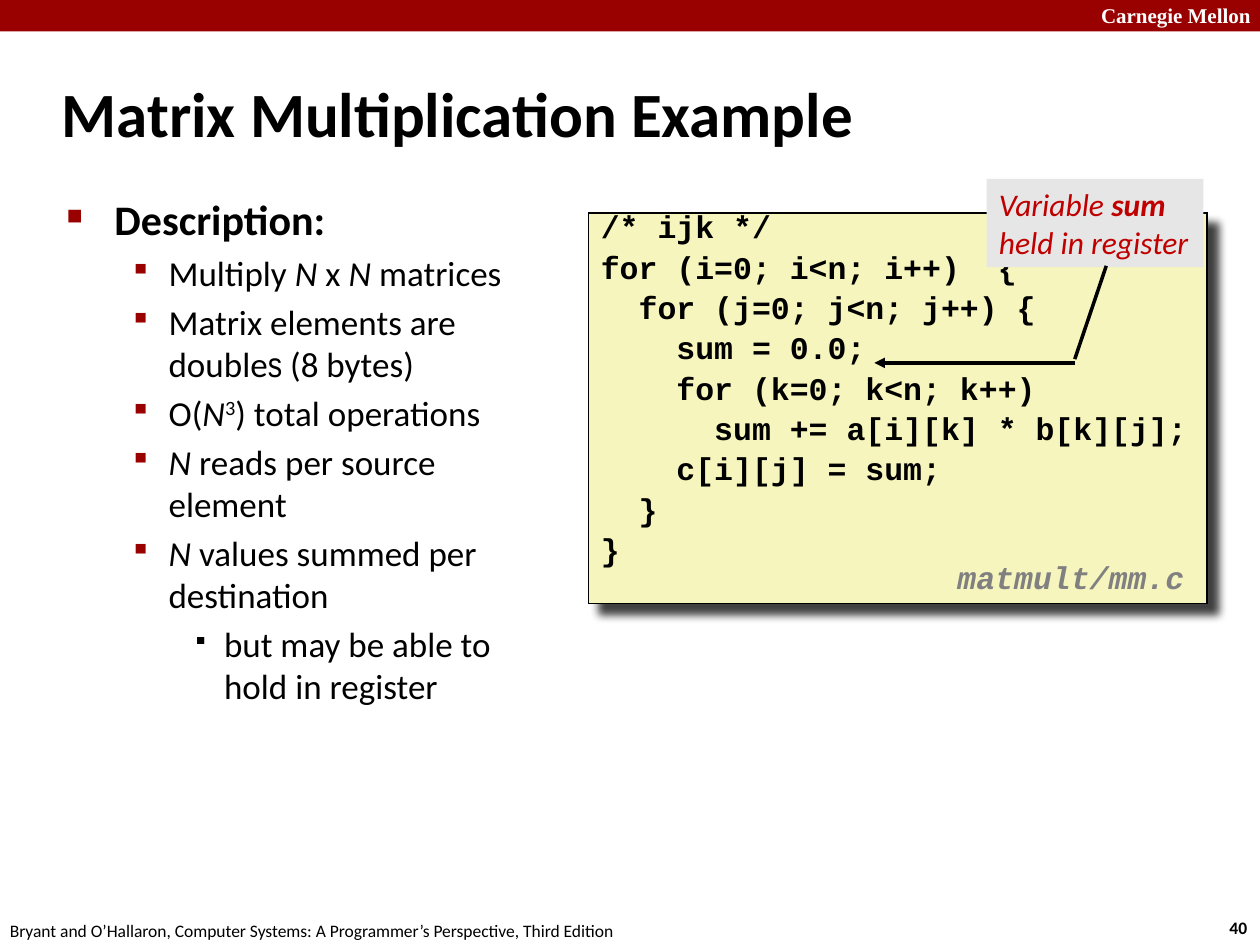
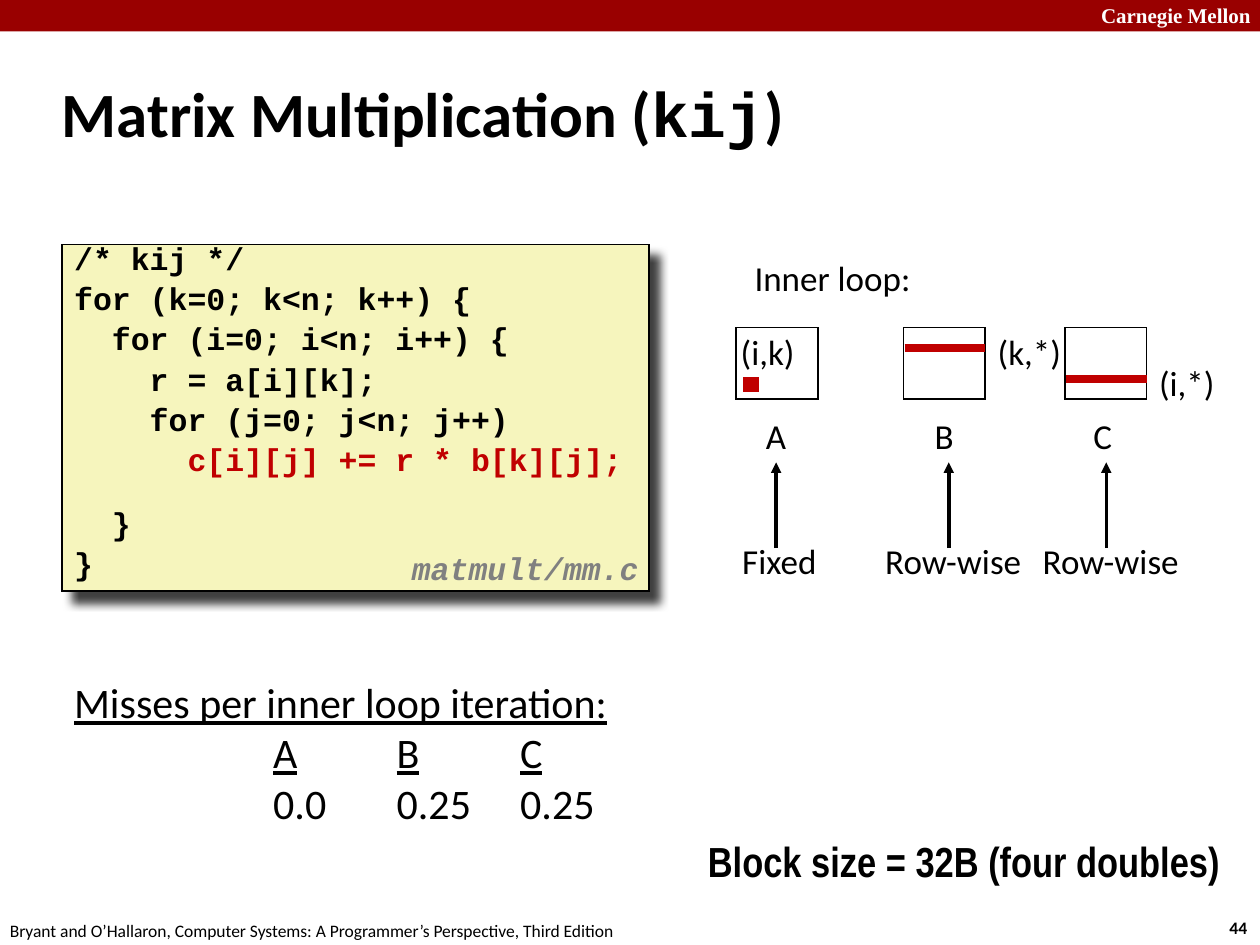
from lxml import etree
from pptx import Presentation
from pptx.dml.color import RGBColor
from pptx.enum.shapes import MSO_CONNECTOR, MSO_SHAPE
from pptx.enum.text import MSO_ANCHOR, MSO_AUTO_SIZE, PP_ALIGN
from pptx.oxml.ns import qn
from pptx.util import Inches, Pt

RECT = MSO_SHAPE.RECTANGLE
STRAIGHT = MSO_CONNECTOR.STRAIGHT
TOP, MIDDLE = MSO_ANCHOR.TOP, MSO_ANCHOR.MIDDLE
LEFT, CENTER = PP_ALIGN.LEFT, PP_ALIGN.CENTER

COLORS = {
    "black": "000000", "white": "FFFFFF", "band": "990000", "accent": "C00000",
    "dot": "FF0000", "code": "F6F5BD", "callout": "E6E6E6", "file": "808080",
}
SANS, MONO, NARROW, SERIF = "Calibri", "Courier New", "Arial Narrow", "Times New Roman"
FOOTER = ("Bryant and O’Hallaron, Computer Systems: "
          "A Programmer’s Perspective, Third Edition")

# Outline levels: margin, hanging indent, bullet, bullet size, bullet colour, format
LEVELS = [
    (0.38, 0.38, "■", 52, "band", {"size": 24, "bold": True}),
    (0.81, 0.31, "▪", 85, "band", {"size": 20}),
    (1.25, 0.25, "▪", 62, "black", {"size": 20}),
]


def color(name):
    return RGBColor.from_string(COLORS[name])


def child(parent, tag, **attributes):
    element = etree.SubElement(parent, qn(tag))
    for key, value in attributes.items():
        element.set(key, str(value))
    return element


def write(paragraph, text, size=20, font=SANS, ink="black", bold=False,
          italic=False, underline=False, raised=False):
    """Add one run of text."""
    run = paragraph.add_run()
    run.text = text
    style = run.font
    style.size, style.name = Pt(size), font
    style.bold, style.italic, style.underline = bold, italic, underline
    style.color.rgb = color(ink)
    if raised:
        style._element.set("baseline", "30000")


def write_pieces(paragraph, pieces, **base):
    """Write a string, or a list of strings and (string, format) pairs."""
    for piece in [pieces] if isinstance(pieces, str) else pieces:
        text, extra = (piece, {}) if isinstance(piece, str) else piece
        write(paragraph, text, **{**base, **extra})


class Deck:
    def __init__(self):
        self.presentation = Presentation()
        self.presentation.slide_width = Inches(10)
        self.presentation.slide_height = Inches(7.5)
        self.slide = None

    def new_slide(self, title, number):
        layout = self.presentation.slide_layouts[5]
        self.slide = self.presentation.slides.add_slide(layout)
        # Band and footer
        self.box(0, 0, 10, 0.25, "band")
        self.text(8.64, -0.03, 1.43, 0.3, ["Carnegie Mellon"],
                  size=12, font=SERIF, ink="white", bold=True)
        self.text(9.66, 7.23, 0.37, 0.27, [number], size=10, bold=True)
        self.text(-0.02, 7.25, 5.08, 0.27, [FOOTER], size=10)
        # Title
        heading = self.slide.shapes.title
        heading.left, heading.top = Inches(0.39), Inches(0.48)
        heading.width, heading.height = Inches(8.3), Inches(0.83)
        frame = heading.text_frame
        frame.auto_size = MSO_AUTO_SIZE.NONE
        frame.vertical_anchor = MIDDLE
        frame.paragraphs[0].alignment = LEFT
        write_pieces(frame.paragraphs[0], title, size=36, bold=True)

    def box(self, left, top, width, height, fill, line=None, weight=1):
        shape = self.slide.shapes.add_shape(
            RECT, Inches(left), Inches(top), Inches(width), Inches(height))
        shape.shadow.inherit = False
        shape.fill.solid()
        shape.fill.fore_color.rgb = color(fill)
        if line:
            shape.line.color.rgb = color(line)
            shape.line.width = Pt(weight)
            child(shape.line._get_or_add_ln(), "a:miter", lim=800000)
        else:
            shape.line.fill.background()
        return shape

    def fill_frame(self, shape, paragraphs, align=LEFT, wrap=False, **style):
        frame = shape.text_frame
        frame.word_wrap = wrap
        frame.vertical_anchor = TOP
        for index, pieces in enumerate(paragraphs):
            paragraph = frame.add_paragraph() if index else frame.paragraphs[0]
            paragraph.alignment = align
            write_pieces(paragraph, pieces, **style)
        return frame

    def text(self, left, top, width, height, paragraphs, **style):
        area = self.slide.shapes.add_textbox(
            Inches(left), Inches(top), Inches(width), Inches(height))
        return self.fill_frame(area, paragraphs, **style)

    def outline(self, left, top, width, height, items):
        frame = self.text(left, top, width, height, [], wrap=True)
        for index, (level, pieces) in enumerate(items):
            margin, hang, bullet, percent, ink, style = LEVELS[level]
            paragraph = frame.add_paragraph() if index else frame.paragraphs[0]
            paragraph.level = level
            props = paragraph._p.get_or_add_pPr()
            props.set("marL", str(Inches(margin)))
            props.set("indent", str(-Inches(hang)))
            child(child(props, "a:buClr"), "a:srgbClr", val=COLORS[ink])
            child(props, "a:buSzPct", val=percent * 1000)
            child(props, "a:buChar", char=bullet)
            if index:
                paragraph.space_before = Pt(4)
            write_pieces(paragraph, pieces, **style)

    def code(self, left, top, width, height, lines):
        listing = self.box(left, top, width, height, "code", "black")
        effects = listing._element.spPr.find(qn("a:effectLst"))
        shadow = child(effects, "a:outerShdw", blurRad=Pt(5), dist=Pt(8.5),
                       dir=45 * 60000, algn="tl", rotWithShape=0)
        child(child(shadow, "a:srgbClr", val=COLORS["black"]), "a:alpha", val=75000)
        frame = self.fill_frame(listing, lines, wrap=True, size=18, font=MONO, bold=True)
        for index, paragraph in enumerate(frame.paragraphs):
            paragraph.line_spacing = 0.65
            if index:
                paragraph.space_before = Pt(9)
        return frame

    def file_name(self, left, top):
        frame = self.text(left, top, 2.08, 0.39, ["matmult/mm.c"], size=18,
                          font=MONO, ink="file", bold=True, italic=True)
        frame.paragraphs[0].line_spacing = 0.94

    def line(self, x1, y1, x2, y2, ink="black", weight=2, arrow=False):
        connector = self.slide.shapes.add_connector(
            STRAIGHT, Inches(x1), Inches(y1), Inches(x2), Inches(y2))
        connector.line.color.rgb = color(ink)
        connector.line.width = Pt(weight)
        if arrow:
            child(connector.line._get_or_add_ln(), "a:tailEnd", type="triangle")
        child(connector._element.spPr, "a:effectLst")

    def tabbed(self, left, top, width, height, paragraphs, stops, **style):
        frame = self.text(left, top, width, height, paragraphs, wrap=True, **style)
        for paragraph in frame.paragraphs:
            tabs = child(paragraph._p.get_or_add_pPr(), "a:tabLst")
            for stop in stops:
                child(tabs, "a:tab", pos=Inches(stop), algn="l")


def build_example(deck):
    deck.new_slide("Matrix Multiplication Example", "40")
    n = ("N", {"italic": True})
    deck.outline(0.43, 1.49, 3.98, 5.44, [
        (0, "Description:"),
        (1, ["Multiply ", n, " x ", n, " matrices"]),
        (1, ["Matrix elements are double", ("s", {"font": NARROW}), " (8 bytes)"]),
        (1, ["O(", n, ("3", {"raised": True}), ") total operations"]),
        (1, [n, " reads per source element"]),
        (1, [n, " values summed per destination"]),
        (2, "but may be able to hold in register"),
    ])
    deck.code(4.67, 1.69, 4.91, 3.1, [
        "/* ijk */",
        "for (i=0; i<n; i++)  {",
        "  for (j=0; j<n; j++) {",
        "    sum = 0.0;",
        "    for (k=0; k<n; k++)",
        "      sum += a[i][k] * b[k][j];",
        "    c[i][j] = sum;",
        "  }",
        "}",
    ])
    # Callout pointing at the sum variable
    callout = deck.box(7.83, 1.42, 1.72, 0.7, "callout")
    deck.fill_frame(callout, [["Variable ", ("sum", {"bold": True})], "held in register"],
                    size=18, ink="accent", italic=True)
    deck.line(8.53, 2.88, 6.94, 2.88, arrow=True)
    deck.line(8.78, 2.11, 8.53, 2.85)
    deck.file_name(7.5, 4.4)


def build_kij(deck):
    deck.new_slide(["Matrix Multiplication (", ("kij", {"font": MONO}), ")"], "44")
    listing = deck.code(0.49, 1.94, 4.66, 2.75, [
        "/* kij */",
        "for (k=0; k<n; k++) {",
        "  for (i=0; i<n; i++) {",
        "    r = a[i][k];",
        "    for (j=0; j<n; j++)",
        ["      ", ("c[i][j] += r * b[k][j];", {"ink": "accent"})],
        "  }",
        "}",
    ])
    listing.paragraphs[6].space_before = Pt(22)
    deck.file_name(3.17, 4.33)

    # Inner loop: matrix left, name, name left, index, index left and top,
    # accessed row, access pattern, its left and width, arrow x
    deck.text(5.89, 1.99, 1.45, 0.43, ["Inner loop:"])
    matrices = [
        (5.84, "A", 5.98, "(i,k)", 5.78, 2.57, None, "Fixed", 5.79, 0.79, 6.16),
        (7.17, "B", 7.32, "(k,*)", 7.82, 2.57, 2.76, "Row-wise", 6.92, 1.29, 7.53),
        (8.45, "C", 8.58, "(i,*)", 9.1, 2.82, 3.01, "Row-wise", 8.17, 1.29, 8.78),
    ]
    for (left, name, name_left, index, index_left, index_top, row,
         access, access_left, access_width, arrow_x) in matrices:
        deck.box(left, 2.6, 0.65, 0.57, "white", "black")
        if row:
            deck.line(left + 0.01, row, left + 0.65, row, "accent", 4.5)
        else:
            deck.box(left + 0.09, 3.02, 0.06, 0.06, "dot", "accent", 4.5)
        deck.text(name_left, 3.24, 0.36, 0.43, [name])
        deck.text(index_left, index_top, 0.75, 0.43, [index])
        deck.text(access_left, 4.23, access_width, 0.43, [access], align=CENTER)
        deck.line(arrow_x, 4.35, arrow_x, 3.67, arrow=True)

    # Miss rates
    under = {"underline": True}
    deck.tabbed(0.49, 5.32, 5.43, 1.34, [
        [("Misses per inner loop iteration:", under)],
        [piece for name in "ABC" for piece in ("\t", (name, under))],
        "\t0.0\t0.25\t0.25",
    ], stops=[1.58, 2.56, 3.54], size=24)
    deck.text(5.52, 6.58, 4.4, 0.5, ["Block size = 32B (four doubles)"],
              size=24, font=NARROW, bold=True)


def main():
    deck = Deck()
    build_example(deck)
    build_kij(deck)
    deck.presentation.save("out.pptx")


if __name__ == "__main__":
    main()
